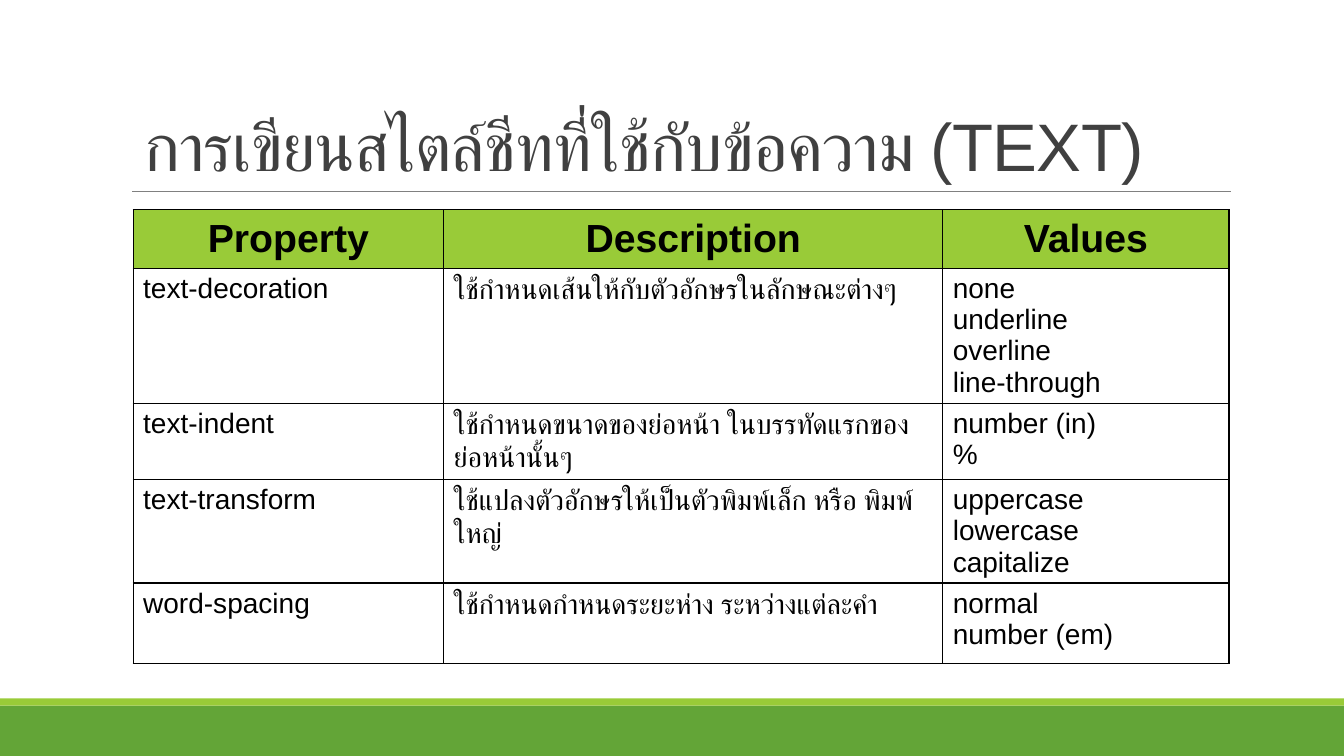
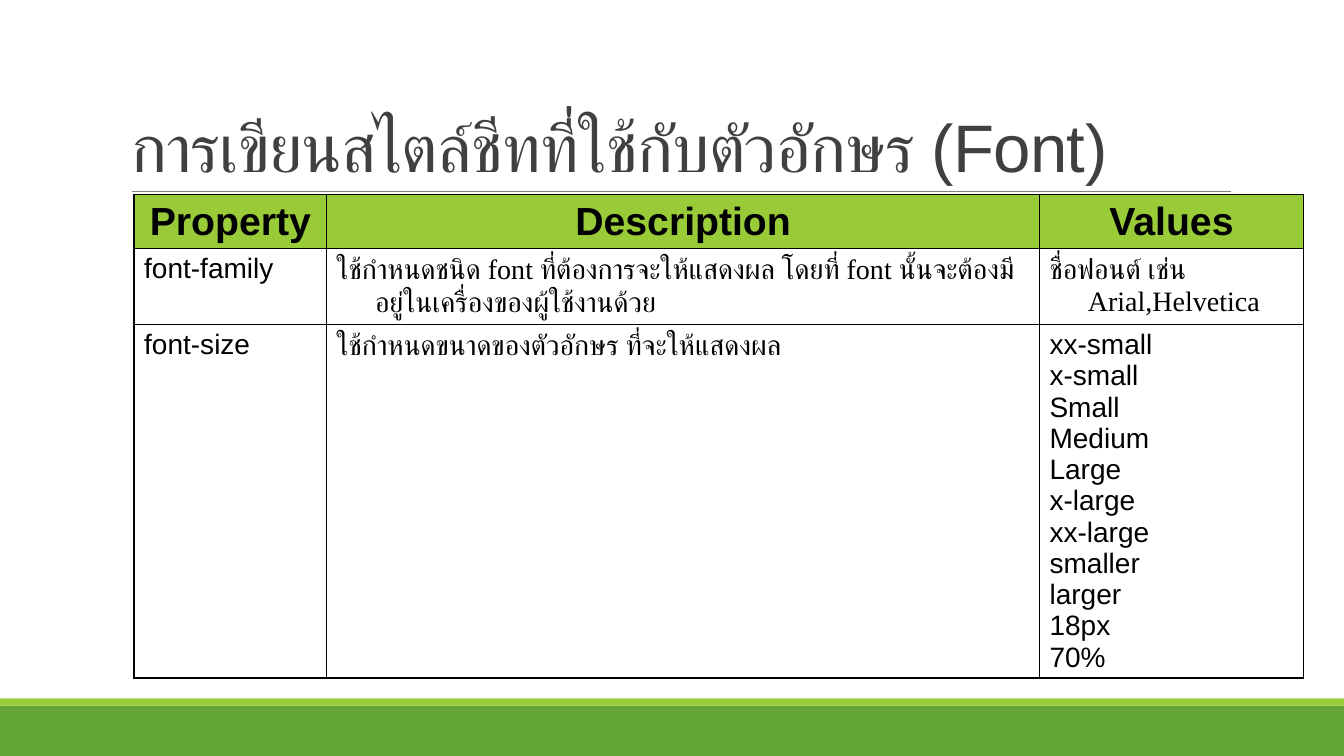
from dataclasses import dataclass

from lxml import etree
from pptx import Presentation
from pptx.dml.color import RGBColor
from pptx.enum import shapes, text
from pptx.oxml import ns
from pptx.util import Inches, Pt


@dataclass(frozen=True)
class Theme:
    dark: str = "63A537"
    light: str = "99CB38"
    rule: str = "808080"
    title: str = "404040"
    ink: str = "000000"
    sans: str = "Arial"
    serif: str = "Times New Roman"
    thai: str = "Roboto"
    big: int = 48
    head: int = 28
    body: int = 20


T = Theme()
HEADS = ["Property", "Description", "Values"]
SLIDES = [
    dict(
        title="การเขียนสไตล์ชีทที่ใช้กับข้อความ (TEXT)",
        spot=(1.33, 0.64, 10.86, 1.25),
        box=(1.32, 2.08, 10.88, 4.68),
        cols=[3.08, 4.95, 2.84],
        rows=[0.58, 0.91, 0.68, 0.76, 0.8],
        hang=0,
        cells=[
            ["text-decoration", "ใช้กำหนดเส้นให้กับตัวอักษรในลักษณะต่างๆ",
             "none\nunderline\noverline\nline-through"],
            ["text-indent", "ใช้กำหนดขนาดของย่อหน้า ในบรรทัดแรกของย่อหน้านั้นๆ",
             "number (in)\n%"],
            ["text-transform", "ใช้แปลงตัวอักษรให้เป็นตัวพิมพ์เล็ก หรือ พิมพ์ใหญ่",
             "uppercase\nlowercase\ncapitalize"],
            ["word-spacing", "ใช้กำหนดกำหนดระยะห่าง ระหว่างแต่ละคำ",
             "normal\nnumber (em)"],
        ],
    ),
    dict(
        title="การเขียนสไตล์ชีทที่ใช้กับตัวอักษร (Font)",
        spot=(1.2, 0.65, 12, 1.25),
        box=(1.33, 1.93, 11.6, 5.1),
        cols=[1.91, 7.07, 2.62],
        rows=[0.47, 0.63, 2.9],
        hang=0.38,
        cells=[
            ["font-family",
             ("ใช้กำหนดชนิด ", "font ", "ที่ต้องการจะให้แสดงผล โดยที่ ", "font ",
              "นั้นจะต้องมีอยู่ในเครื่องของผู้ใช้งานด้วย"),
             ("ชื่อฟอนต์ เช่น ", "Arial,Helvetica")],
            ["font-size", "ใช้กำหนดขนาดของตัวอักษร ที่จะให้แสดงผล",
             "xx-small\nx-small\nSmall\nMedium\nLarge\nx-large\nxx-large\n"
             "smaller\nlarger\n18px\n70%"],
        ],
    ),
]


def tint(code):
    return RGBColor.from_string(code)


def style(item, **vals):
    for key, val in vals.items():
        setattr(item, key, val)


def add_run(para, words, name, size, color, bold=False):
    run = para.add_run()
    run.text = words
    style(run.font, name=name, size=Pt(size), bold=bold)
    run.font.color.rgb = tint(color)
    props = run._r.get_or_add_rPr()
    etree.SubElement(props, ns.qn("a:cs"), typeface=T.thai)
    return props


def add_frame(slide):
    for top, tall, color in [(7, 0.5, T.dark), (6.93, 0.07, T.light)]:
        band = slide.shapes.add_shape(
            shapes.MSO_SHAPE.RECTANGLE, 0, Inches(top), Inches(13.33), Inches(tall))
        band.shadow.inherit = False
        band.fill.solid()
        band.fill.fore_color.rgb = tint(color)
        band.line.fill.background()
    rule = slide.shapes.add_connector(
        shapes.MSO_CONNECTOR.STRAIGHT,
        Inches(1.31), Inches(1.9), Inches(12.21), Inches(1.9))
    rule.line.color.rgb = tint(T.rule)
    rule.line.width = Pt(0.5)
    etree.SubElement(rule._element.spPr, ns.qn("a:effectLst"))


def add_title(slide, words, spot):
    left, top, width, height = map(Inches, spot)
    title = slide.shapes.title
    style(title, left=left, top=top, width=width, height=height)
    frame = title.text_frame
    style(frame, word_wrap=True, auto_size=text.MSO_AUTO_SIZE.NONE,
          vertical_anchor=text.MSO_ANCHOR.BOTTOM)
    para = frame.paragraphs[0]
    style(para, alignment=text.PP_ALIGN.LEFT, line_spacing=0.85)
    add_run(para, words, T.sans, T.big, T.title).set("spc", "-50")


def add_edges(cell):
    props = cell._tc.get_or_add_tcPr()
    for side in ("lnL", "lnR", "lnT", "lnB"):
        edge = etree.SubElement(props, ns.qn(f"a:{side}"), w=str(Pt(1)))
        fill = etree.SubElement(edge, ns.qn("a:solidFill"))
        etree.SubElement(fill, ns.qn("a:srgbClr"), val=T.ink)


def fill_cell(cell, words, head, hang):
    add_edges(cell)
    if head:
        cell.fill.solid()
        cell.fill.fore_color.rgb = tint(T.light)
        cell.vertical_anchor = text.MSO_ANCHOR.MIDDLE
    else:
        cell.fill.background()
    mixed = isinstance(words, tuple)
    lines = [words] if mixed else [[line] for line in words.split("\n")]
    frame = cell.text_frame
    for row, parts in enumerate(lines):
        para = frame.add_paragraph() if row else frame.paragraphs[0]
        para.alignment = text.PP_ALIGN.CENTER if head else text.PP_ALIGN.LEFT
        if hang:
            props = para._p.get_or_add_pPr()
            props.set("marL", str(Inches(hang)))
            props.set("indent", str(-Inches(hang)))
        for spot, part in enumerate(parts):
            name = (T.thai, T.serif)[spot % 2] if mixed else T.sans
            add_run(para, part, name, T.head if head else T.body, T.ink, head)


def add_grid(slide, box, cols, rows, cells, hang):
    data = [HEADS] + cells
    table = slide.shapes.add_table(len(rows), len(cols), *map(Inches, box)).table
    style(table, first_row=False, horz_banding=False)
    for col, width in zip(table.columns, cols):
        col.width = Inches(width)
    for row, height in zip(table.rows, rows):
        row.height = Inches(height)
    for r, line in enumerate(data):
        for c, words in enumerate(line):
            fill_cell(table.cell(r, c), words, r == 0, hang)


def main():
    deck = Presentation()
    style(deck, slide_width=Inches(13.33), slide_height=Inches(7.5))
    for page in SLIDES:
        slide = deck.slides.add_slide(deck.slide_layouts[5])
        add_frame(slide)
        add_title(slide, page["title"], page["spot"])
        add_grid(slide, *(page[key] for key in ("box", "cols", "rows", "cells", "hang")))
    deck.save("out.pptx")


if __name__ == "__main__":
    main()
